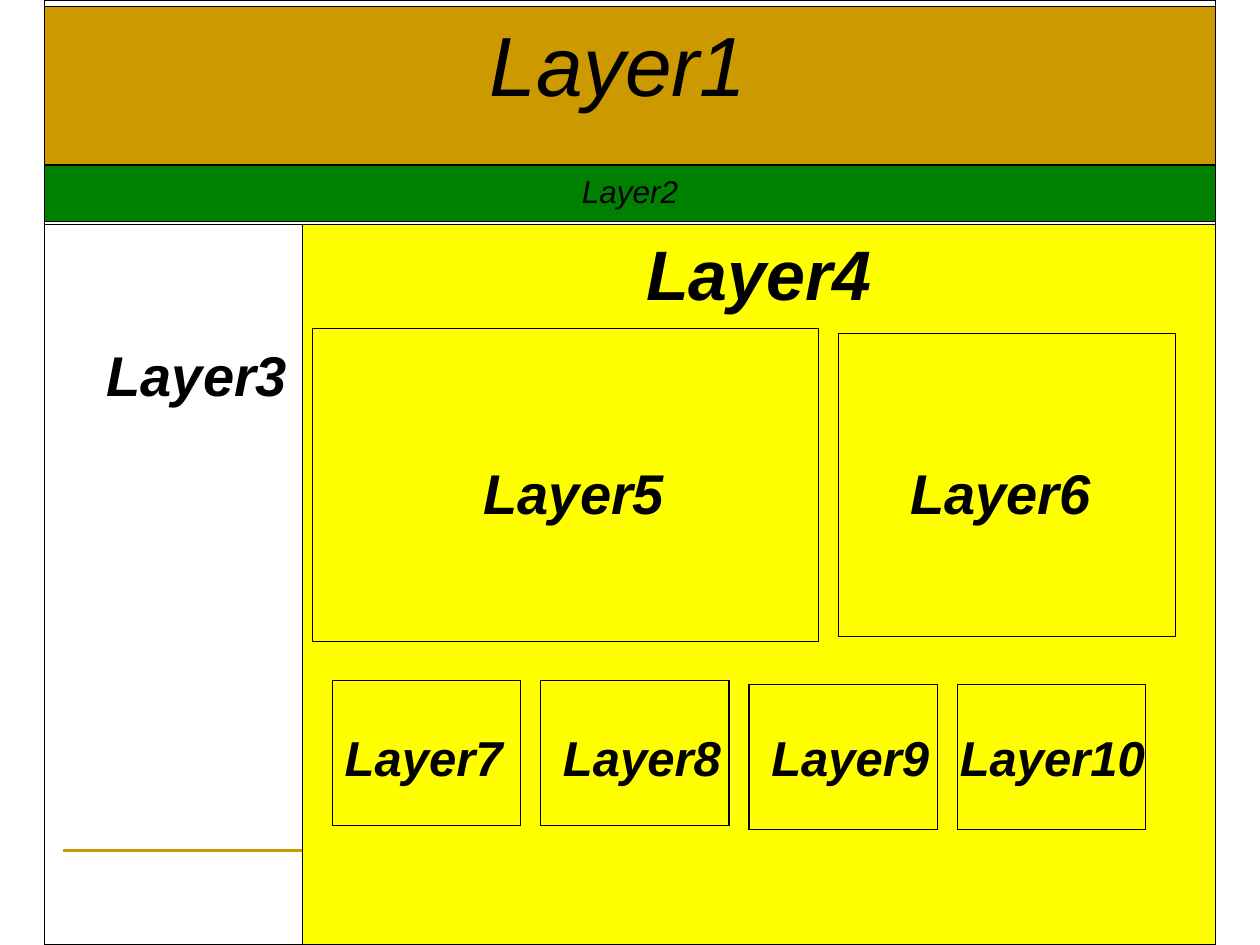
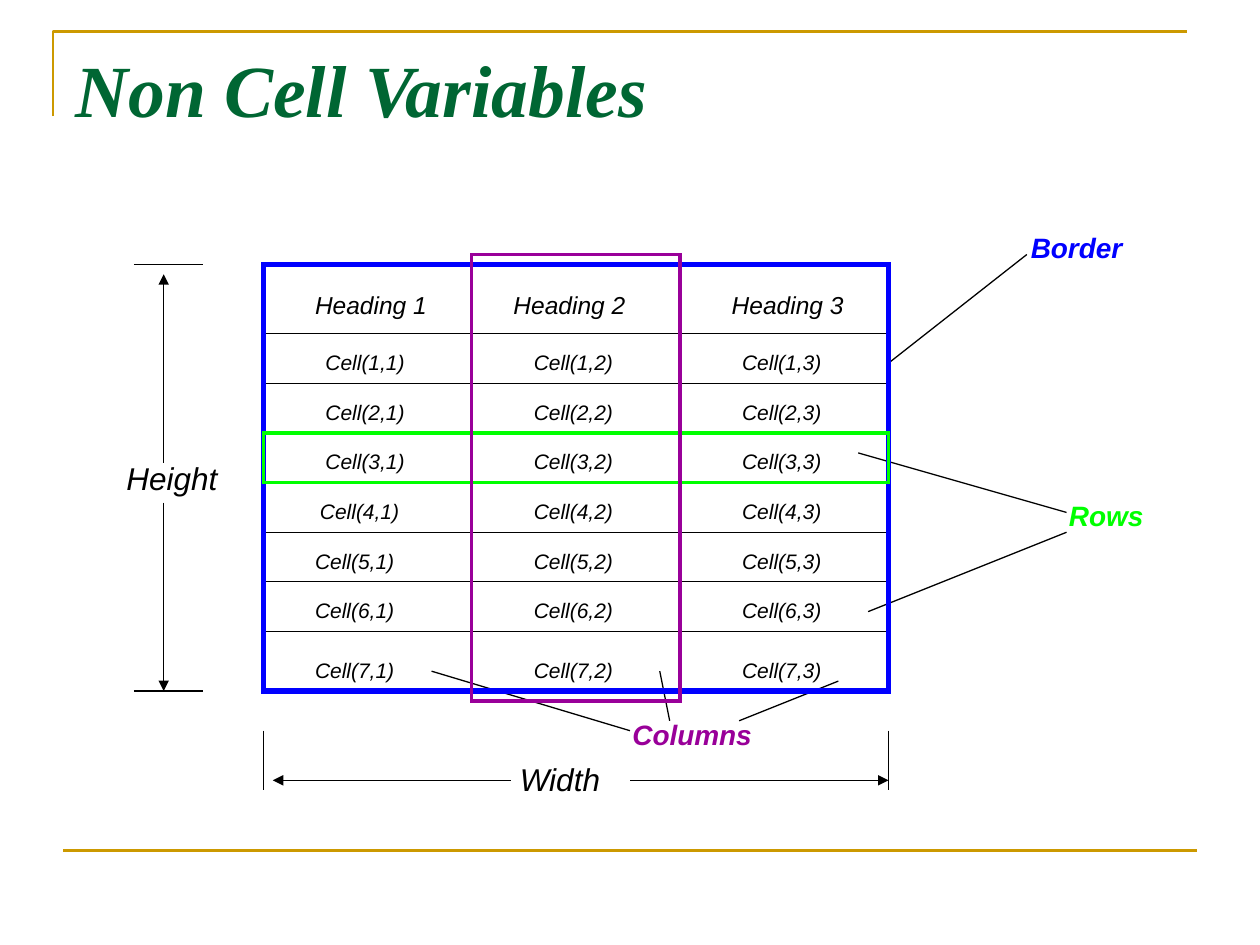
"""Build two slides: a page layout in layers, and the parts of a table."""
from dataclasses import dataclass

from lxml import etree
from pptx import Presentation
from pptx.dml.color import RGBColor
from pptx.enum.shapes import MSO_CONNECTOR, MSO_SHAPE
from pptx.enum.text import MSO_ANCHOR, MSO_AUTO_SIZE, PP_ALIGN
from pptx.oxml.ns import qn
from pptx.util import Cm, Pt

RECT, STRAIGHT = MSO_SHAPE.RECTANGLE, MSO_CONNECTOR.STRAIGHT
LEFT, CENTER, TOP = PP_ALIGN.LEFT, PP_ALIGN.CENTER, MSO_ANCHOR.TOP
GROW = MSO_AUTO_SIZE.SHAPE_TO_FIT_TEXT


@dataclass(frozen=True)
class Theme:
    body: str = "Arial"
    heading: str = "Times New Roman"
    black: str = "000000"
    white: str = "FFFFFF"
    gold: str = "CC9900"
    green: str = "008000"
    yellow: str = "FFFF00"
    title: str = "006633"
    border: str = "0000FF"
    row: str = "00FF00"
    column: str = "990099"
    thin: float = 0.75
    rule: float = 1.5
    title_size: int = 42
    banner_size: int = 48
    region_size: int = 40
    panel_size: int = 32
    tile_size: int = 28
    label_size: int = 18
    callout_size: int = 16
    head_size: int = 14
    cell_size: int = 12


T = Theme()


def write(tf, text, size, font=T.body, color=T.black, bold=False, align=LEFT, wrap=True):
    tf.word_wrap, tf.vertical_anchor = wrap, TOP
    tf.margin_left = tf.margin_right = Cm(0.25)
    tf.margin_top = tf.margin_bottom = Cm(0.13)
    if not wrap:
        tf.auto_size = GROW
    p = tf.paragraphs[0]
    p.alignment = align
    r = p.add_run()
    r.text = text
    r.font.name, r.font.size = font, Pt(size)
    r.font.bold, r.font.italic = bold, True
    r.font.color.rgb = RGBColor.from_string(color)


def draw(s, at, color=T.black, width=T.thin, fill=None, straight=False, arrow=False):
    at = [Cm(v) for v in at]
    if straight:
        sp = s.shapes.add_connector(STRAIGHT, *at)
        etree.SubElement(sp.element.spPr, qn("a:effectLst"))
    else:
        sp = s.shapes.add_shape(RECT, *at)
        sp.shadow.inherit = False
        if fill:
            sp.fill.solid()
            sp.fill.fore_color.rgb = RGBColor.from_string(fill)
        else:
            sp.fill.background()
    sp.line.color.rgb = RGBColor.from_string(color)
    sp.line.width = Pt(width)
    ln = sp.element.spPr.find(qn("a:ln"))
    etree.SubElement(ln, qn("a:miter"), lim="800000")
    if arrow:
        etree.SubElement(ln, qn("a:tailEnd"), type="triangle")
    return sp


prs = Presentation()
prs.slide_width, prs.slide_height = Cm(25.4), Cm(19.05)
layers = prs.slides.add_slide(prs.slide_layouts[6])
variables = prs.slides.add_slide(prs.slide_layouts[5])
for s in (layers, variables):
    draw(s, (1.27, 17.15, 24.13, 17.15), T.gold, T.rule, straight=True)

s = layers
page_left, page_width, main_top, main_height = 0.9, 23.6, 4.52, 14.53
draw(s, (page_left, 0, page_width, 19.05))
draw(s, (page_left, main_top, page_width, main_height))
for at, fill, text, size, bold in (
    ((page_left, 0.13, page_width, 3.2), T.gold, "Layer1 ", T.banner_size, False),
    ((page_left, 3.33, page_width, 1.14), T.green, "Layer2", T.label_size, False),
    ((6.1, main_top, 18.4, main_height), T.yellow, "Layer4", T.region_size, True),
):
    sp = draw(s, at, fill=fill)
    write(sp.text_frame, text, size, bold=bold, align=CENTER)

draw(s, (6.3, 6.63, 10.2, 6.3))
draw(s, (16.9, 6.73, 6.8, 6.1))
for i in range(4):
    draw(s, (6.7 + 4.2 * i, 13.72 if i < 2 else 13.8, 3.8, 2.92))

for text, left, top, width, size in (
    ("Layer3", 1.9, 6.73, 4.15, T.panel_size),
    ("Layer5", 9.5, 9.12, 4.15, T.panel_size),
    ("Layer6", 18.1, 9.12, 4.15, T.panel_size),
    ("Layer7", 6.7, 14.53, 3.68, T.tile_size),
    ("Layer8", 11.1, 14.53, 3.68, T.tile_size),
    ("Layer9", 15.3, 14.53, 3.68, T.tile_size),
    ("Layer10", 19.1, 14.53, 4.24, T.tile_size),
):
    tb = s.shapes.add_textbox(Cm(left), Cm(top), Cm(width), Cm(size / 20))
    write(tb.text_frame, text, size, bold=True, wrap=False)

s = variables
fb = s.shapes.build_freeform(Cm(1.07), Cm(2.34))
fb.add_line_segments([(Cm(1.07), Cm(0.64)), (Cm(23.93), Cm(0.64))], close=False)
corner = fb.convert_to_shape()
corner.shadow.inherit = False
corner.fill.background()
corner.line.color.rgb = RGBColor.from_string(T.gold)
corner.line.width = Pt(T.rule)

title = s.shapes.title
title.left, title.top, title.width, title.height = Cm(1.27), Cm(0.76), Cm(22.86), Cm(3.18)
write(title.text_frame, "Non Cell Variables", T.title_size, T.heading, T.title, bold=True)

x, y, col_width, row_height = 5.31, 5.33, 4.2, 1
row_heights = [1.4] + [row_height] * 6 + [1.2]
width, height = 3 * col_width, sum(row_heights)
right, bottom = x + width, y + height
table = s.shapes.add_table(8, 3, Cm(x), Cm(y), Cm(width), Cm(height)).table
table.first_row = table.horz_banding = False
for col in table.columns:
    col.width = Cm(col_width)
head_indents = [1.04, 0.84, 1.04]
first_indents = [1.25, 1.25, 1.25, 1.14, 1.04, 1.04, 1.04]
for i, h in enumerate(row_heights):
    table.rows[i].height = Cm(h)
    for j in range(3):
        cell = table.cell(i, j)
        tcPr = cell._tc.get_or_add_tcPr()
        for side in ("lnL", "lnR", "lnT", "lnB"):
            ln = etree.SubElement(tcPr, qn(f"a:{side}"), w=str(Pt(T.thin)))
            fill = etree.SubElement(ln, qn("a:solidFill"))
            etree.SubElement(fill, qn("a:srgbClr"), val=T.black)
        cell.fill.solid()
        cell.fill.fore_color.rgb = RGBColor.from_string(T.white)
        if i == 0:
            text, size, left, top = f"Heading {j + 1}", T.head_size, head_indents[j], 0.56
        else:
            text, size, top = f"Cell({i},{j + 1})", T.cell_size, 0.57 if i == 7 else 0.36
            left = first_indents[i - 1] if j == 0 else 1.25
        write(cell.text_frame, text, size)
        cell.margin_left, cell.margin_right = Cm(left), Cm(0)
        cell.margin_top, cell.margin_bottom = Cm(top), Cm(0)
        cell.vertical_anchor = TOP

for tick_y in (y, bottom):
    draw(s, (2.7, tick_y, 4.1, tick_y), straight=True)
for tick_x in (x, right):
    draw(s, (tick_x, 14.73, tick_x, 15.93), straight=True)
for at in (
    (10.3, 15.73, 5.5, 15.73),
    (12.7, 15.73, right, 15.73),
    (3.3, 9.33, 3.3, 5.53),
    (3.3, 10.13, 3.3, bottom),
):
    draw(s, at, straight=True, arrow=True)

for text, left, top, box_width, size, color, bold in (
    ("Width", 10.23, 15.2, 2.15, T.label_size, T.black, False),
    ("Height", 2.3, 9.12, 2.34, T.label_size, T.black, False),
    ("Border", 20.53, 4.52, 2.4, T.callout_size, T.border, True),
    ("Rows", 21.3, 9.92, 2.04, T.callout_size, T.row, True),
    ("Columns", 12.5, 14.33, 2.92, T.callout_size, T.column, True),
):
    tb = s.shapes.add_textbox(Cm(left), Cm(top), Cm(box_width), Cm(size / 18))
    write(tb.text_frame, text, size, color=color, bold=bold, wrap=False)

for at in (
    (20.7, 5.13, 17.9, 7.33),
    (21.5, 10.33, 17.3, 9.13),
    (21.5, 10.73, 17.5, 12.33),
    (12.7, 14.73, 8.7, 13.53),
    (13.5, 14.53, 13.3, 13.53),
    (14.9, 14.53, 16.9, 13.73),
):
    draw(s, at, straight=True)

draw(s, (x, y, width, height), T.border, 3)
draw(s, (x, y + 3.4, width, row_height), T.row, 2)
draw(s, (x + col_width, y - 0.2, col_width, height + 0.4), T.column, 2)

prs.save("out.pptx")
